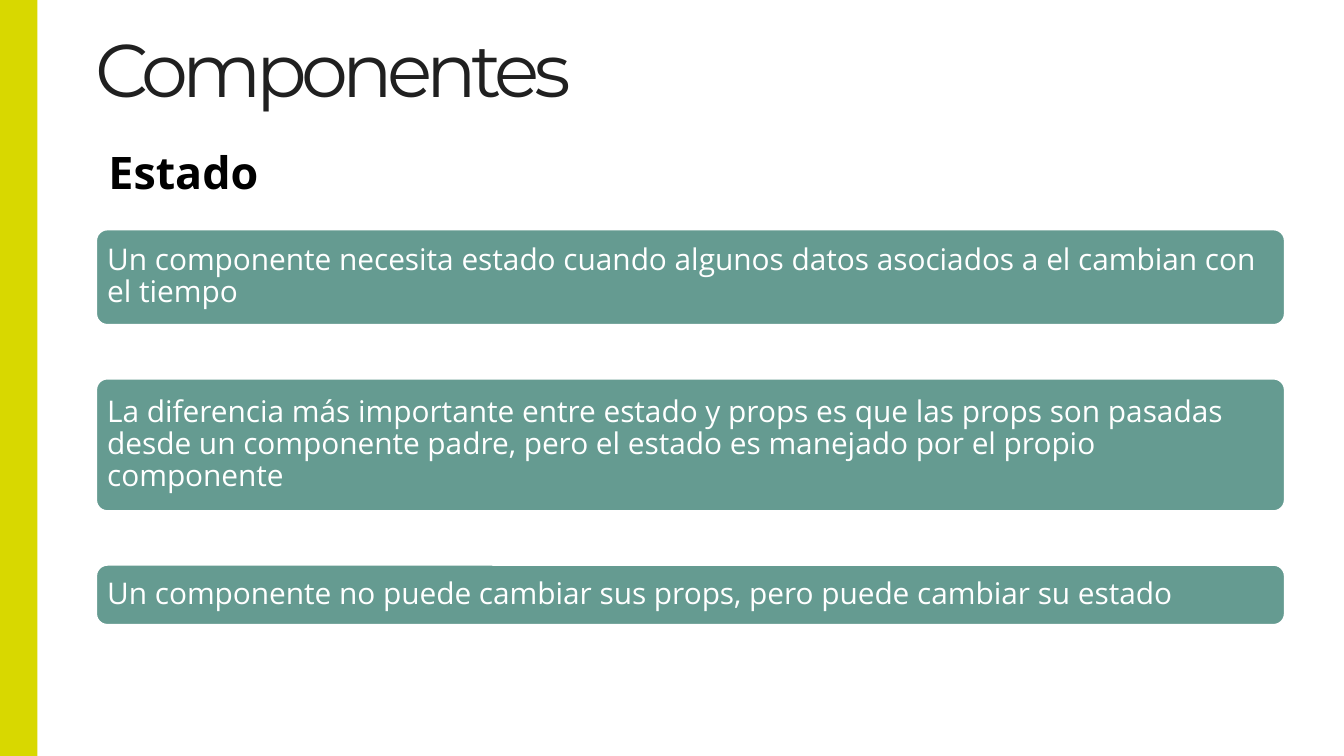
from pptx import Presentation
from pptx.dml.color import RGBColor
from pptx.enum.shapes import MSO_SHAPE as Shape
from pptx.enum.text import MSO_ANCHOR as Anchor, PP_ALIGN as Align
from pptx.util import Cm, Pt

LIME = RGBColor(0xD8, 0xD8, 0x00)
TEAL = RGBColor(0x65, 0x9B, 0x91)
WHITE = RGBColor(0xFF, 0xFF, 0xFF)
BLACK = RGBColor(0x00, 0x00, 0x00)
CHARCOAL = RGBColor(0x20, 0x20, 0x20)

PAGE_WIDTH, PAGE_HEIGHT = 25.4, 14.29
CONTENT_LEFT = 1.8
CARD_GAP = 0.98
CARD_RADIUS = 0.23

TITLE_FONT = {"name": "Montserrat", "size": Pt(40)}
HEADING_FONT = {"name": "Open Sans", "size": Pt(24), "bold": True}
CARD_FONT = {"name": "Open Sans", "size": Pt(16)}

CARDS = [
    (1.84, "Un componente necesita estado cuando algunos datos asociados a el "
           "cambian con el tiempo"),
    (2.54, "La diferencia más importante entre estado y props es que las props "
           "son pasadas desde un componente padre, pero el estado es manejado "
           "por el propio componente"),
    (1.17, "Un componente no puede cambiar sus props, pero puede cambiar su estado"),
]


def write_text(shape, text, font, color, frame_format):
    frame = shape.text_frame
    frame.word_wrap = True
    for name, value in frame_format.items():
        setattr(frame, name, value)
    para = frame.paragraphs[0]
    para.alignment = Align.LEFT
    span = para.add_run()
    span.text = text
    for name, value in font.items():
        setattr(span.font, name, value)
    span.font.color.rgb = color
    return para, span


def add_filled_shape(page, kind, box, color):
    shape = page.shapes.add_shape(kind, *map(Cm, box))
    shape.shadow.inherit = False
    shape.fill.solid()
    shape.fill.fore_color.rgb = color
    shape.line.fill.background()
    return shape


def add_title(page, box):
    title = page.shapes.add_textbox(*map(Cm, box))
    frame_format = {"margin_left": Cm(0), "vertical_anchor": Anchor.BOTTOM}
    _, span = write_text(title, "Componentes", TITLE_FONT, CHARCOAL, frame_format)
    span.font._element.set("spc", "-300")


def add_heading(page, box):
    heading = page.shapes.add_textbox(*map(Cm, box))
    write_text(heading, "Estado", HEADING_FONT, BLACK, {})


def add_card(page, box, text):
    card = add_filled_shape(page, Shape.ROUNDED_RECTANGLE, box, TEAL)
    card.adjustments[0] = CARD_RADIUS / box[3]
    card.line.color.rgb = WHITE
    card.line.width = Pt(2)
    frame_format = {
        "margin_left": Cm(0.16),
        "margin_right": Cm(0.16),
        "margin_top": Cm(0.16),
        "margin_bottom": Cm(0.16),
        "vertical_anchor": Anchor.MIDDLE,
    }
    para, _ = write_text(card, text, CARD_FONT, WHITE, frame_format)
    para.line_spacing = 0.9


def add_card_stack(page, left, top, width):
    for height, text in CARDS:
        add_card(page, (left, top, width, height), text)
        top += height + CARD_GAP


def main():
    deck = Presentation()
    deck.slide_width, deck.slide_height = Cm(PAGE_WIDTH), Cm(PAGE_HEIGHT)
    page = deck.slides.add_slide(deck.slide_layouts[6])
    add_filled_shape(page, Shape.RECTANGLE, (0, 0, 0.71, PAGE_HEIGHT), LIME)
    add_title(page, (CONTENT_LEFT, 0, 22.91, 2.26))
    add_heading(page, (CONTENT_LEFT, 2.62, 12.7, 1.27))
    add_card_stack(page, CONTENT_LEFT, 4.32, 22.5)
    deck.save("out.pptx")


if __name__ == "__main__":
    main()
